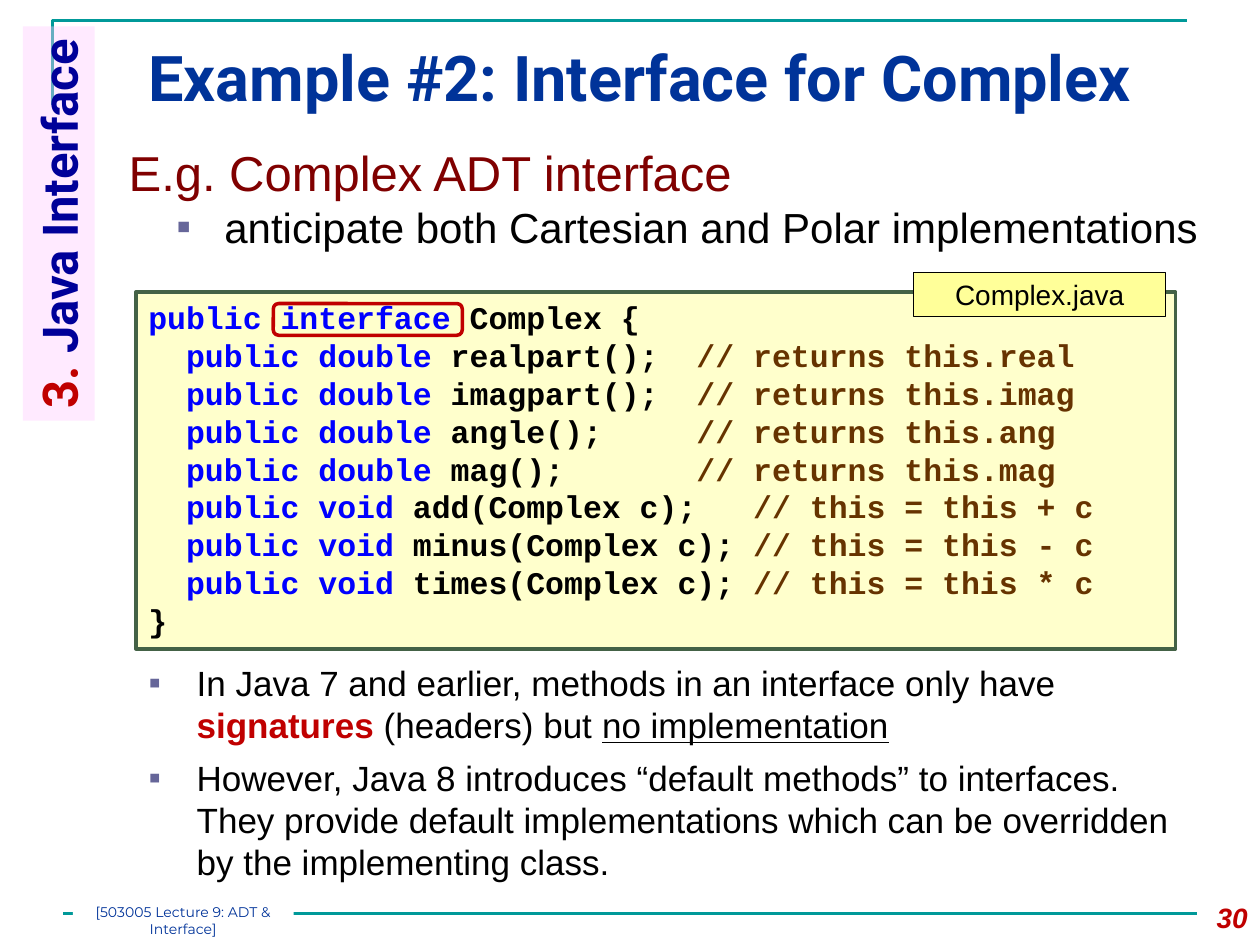
from lxml.etree import SubElement as Sub
from pptx import Presentation
from pptx.dml.color import RGBColor
from pptx.enum.shapes import MSO_CONNECTOR as Link, MSO_SHAPE as Kind
from pptx.enum.text import MSO_ANCHOR as Anchor, MSO_AUTO_SIZE as Auto, PP_ALIGN as Align
from pptx.oxml.ns import qn
from pptx.util import Cm, Pt


def hue(code):
    return RGBColor.from_string(code)


def put(para, face, size, tint, *runs, bold=False):
    font = para.font
    font.name, font.size, font.bold = face, Pt(size), bold
    font.color.rgb = hue(tint)
    made = []
    for text, color in runs:
        run = para.add_run()
        run.text = text
        if color != tint:
            run.font.color.rgb = hue(color)
        made.append(run)
    return made


deck = Presentation()
deck.slide_width, deck.slide_height = Cm(25.4), Cm(19.05)
slide = deck.slides.add_slide(deck.slide_layouts[3])
shapes = slide.shapes
title, intro, notes = slide.placeholders

pen = shapes.build_freeform(Cm(1.06), Cm(2.12))
pen.add_line_segments([(Cm(1.06), Cm(0.42)), (Cm(23.92), Cm(0.42))], close=False)
frame = pen.convert_to_shape()
frame.shadow.inherit = False
frame.fill.background()
rule = shapes.add_connector(Link.STRAIGHT, Cm(1.27), Cm(18.42), Cm(24.13), Cm(18.42))
Sub(rule.element.spPr, qn("a:effectLst"))
for item in (frame, rule):
    item.line.color.rgb = hue("009999")
    item.line.width = Pt(1.5)

for item, x, y, w, h in (
    (title, 2.74, 0.64, 22.02, 2.18),
    (intro, 2.34, 2.74, 22.15, 2.77),
    (notes, 2.74, 13.21, 21.59, 4.67),
):
    item.left, item.top, item.width, item.height = Cm(x), Cm(y), Cm(w), Cm(h)
    item.text_frame.auto_size = Auto.NONE
    item.text_frame.vertical_anchor = Anchor.TOP

head = title.text_frame.paragraphs[0]
head.alignment = Align.LEFT
put(head, "Roboto", 36, "003399", ("Example #2: Interface for Complex", "003399"), bold=True)

dark, red, black = "800000", "C00000", "000000"
lists = (
    (intro, 0.97, 0, 28, dark, [("E.g. Complex ADT interface", dark)]),
    (intro, 1.93, 0, 24, black,
     [("anticipate both Cartesian and Polar implementations", black)]),
    (notes, 0.97, 0, 20, black,
     [("In Java 7 and earlier, methods in an interface only have ", black),
      ("signatures", red), (" (headers) but ", black), ("no implementation", black)]),
    (notes, 0.97, 6, 20, black,
     [("However, Java 8 introduces “default methods” to interfaces. They provide "
       "default implementations which can be overridden by the implementing class.", black)]),
)
for item, inset, gap, size, tint, runs in lists:
    body = item.text_frame
    para = body.add_paragraph() if body.text else body.paragraphs[0]
    para.space_before = Pt(gap)
    prop = para._p.get_or_add_pPr()
    prop.set("marL", str(Cm(inset)))
    prop.set("indent", str(-Cm(0.97)))
    if tint == dark:
        Sub(prop, qn("a:buNone"))
    else:
        Sub(Sub(prop, qn("a:buClr")), qn("a:srgbClr"), val="666699")
        Sub(prop, qn("a:buFont"), typeface="Arial")
        Sub(prop, qn("a:buChar"), char="▪")
    made = put(para, "Arial", size, tint, *runs)
    if len(made) > 1:
        made[1].font.bold = True
        made[3].font.underline = True

boxes = []
for kind, x, y, w, h, fill, edge, width in (
    (Kind.RECTANGLE, -2.79, 3.78, 7.95, 1.45, "FFCCFF", None, 0),
    (Kind.RECTANGLE, 1.47, 18.21, 4.45, 0.43, "FFFFFF", None, 0),
    (Kind.RECTANGLE, 2.74, 5.89, 20.96, 7.19, "FFFFCC", "446246", 2),
    (Kind.RECTANGLE, 18.42, 5.49, 5.08, 0.89, "FFFF99", black, 0.75),
    (Kind.ROUNDED_RECTANGLE, 5.51, 6.12, 3.81, 0.64, None, red, 2),
):
    box = shapes.add_shape(kind, Cm(x), Cm(y), Cm(w), Cm(h))
    box.shadow.inherit = False
    box.text_frame.vertical_anchor = Anchor.TOP
    box.text_frame.paragraphs[0].alignment = Align.LEFT
    if fill:
        box.fill.solid()
        box.fill.fore_color.rgb = hue(fill)
    else:
        box.fill.background()
    if edge:
        box.line.color.rgb = hue(edge)
        box.line.width = Pt(width)
    else:
        box.line.fill.background()
    boxes.append(box)
side, foot, code, file, ring = boxes

side.rotation = 270
Sub(side.element.xpath(".//a:solidFill/a:srgbClr")[0], qn("a:alpha"), val="40000")
put(side.text_frame.paragraphs[0], "Roboto", 28, "000099",
    ("3. ", red), ("Java Interface", "000099"), bold=True)

body = foot.text_frame
body.margin_left = body.margin_right = body.margin_top = body.margin_bottom = 0
body.paragraphs[0].alignment = Align.CENTER
put(body.paragraphs[0], "Montserrat", 8, "003399",
    ("[503005 Lecture 9: ADT & Interface]", "003399"))

blue, brown = "0000FF", "663300"
lines = [[("public interface", blue), (" Complex {", black)]]
for word, call, note, stop in (
    ("double", "realpart()", "returns this.real", 29),
    ("double", "imagpart()", "returns this.imag", 29),
    ("double", "angle()", "returns this.ang", 29),
    ("double", "mag()", "returns this.mag", 29),
    ("void", "add(Complex c)", "this = this + c", 32),
    ("void", "minus(Complex c)", "this = this - c", 32),
    ("void", "times(Complex c)", "this = this * c", 32),
):
    start = f"  public {word}"
    lines.append([(start, blue), (f" {call};".ljust(stop - len(start)), black),
                  (f"// {note}", brown)])
lines.append([("}", black)])
body = code.text_frame
for row, runs in enumerate(lines):
    para = body.add_paragraph() if row else body.paragraphs[0]
    para.alignment = Align.LEFT
    put(para, "Courier New", 18, black, *runs, bold=True)

file.text_frame.vertical_anchor = Anchor.MIDDLE
file.text_frame.paragraphs[0].alignment = Align.CENTER
put(file.text_frame.paragraphs[0], "Arial", 16, black, ("Complex.java", black))
ring.adjustments[0] = 0.17

page = shapes.add_textbox(Cm(23.7), Cm(18.03), Cm(1.7), Cm(1.02)).text_frame
page.word_wrap = True
para = page.paragraphs[0]
para.alignment = Align.RIGHT
put(para, "Arial", 16, red, ("30", red), bold=True)
para.font.italic = True

deck.save("out.pptx")
